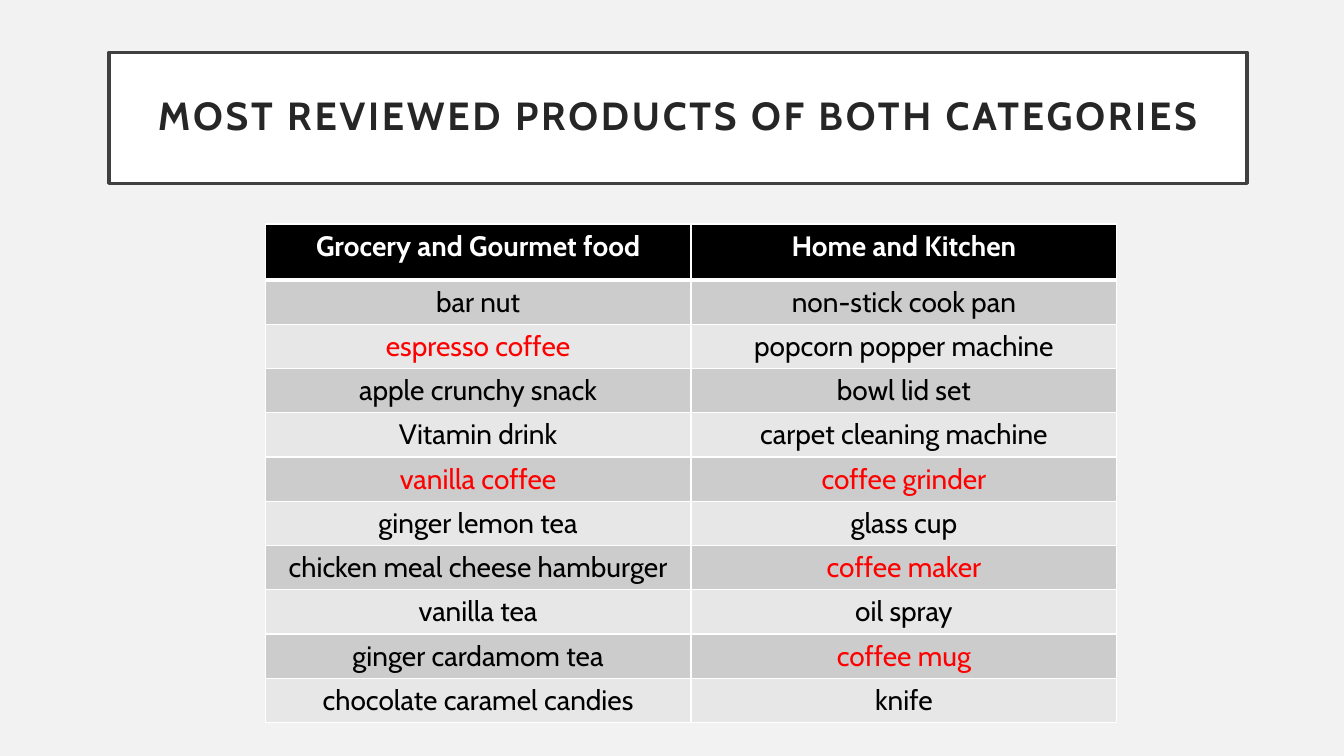
from dataclasses import dataclass

from lxml import etree
from pptx import Presentation
from pptx import util as u
from pptx.dml.color import RGBColor
from pptx.enum import shapes, text
from pptx.oxml import ns

FONT = "Cabin"
COLORS = {
    "background": "F2F2F2",
    "white": "FFFFFF",
    "frame": "404040",
    "title": "262626",
    "header": "000000",
    "body": "000000",
    "highlight": "FF0000",
    "odd": "CCCCCC",
    "even": "E7E7E7",
}
TITLE = "MOST REVIEWED PRODUCTS OF BOTH CATEGORIES"
HIGHLIGHT_WORD = "coffee"
HEADER_HEIGHT = 40
ROW_HEIGHT = 29.5
COLUMN_WIDTH = 304.2


@dataclass
class Category:
    name: str
    products: list[str]


@dataclass
class CellStyle:
    fill: str
    color: str
    bold: bool
    top: float
    bottom: float


CATEGORIES = [
    Category("Grocery and Gourmet food", [
        "bar nut", "espresso coffee", "apple crunchy snack", "Vitamin drink",
        "vanilla coffee", "ginger lemon tea", "chicken meal cheese hamburger",
        "vanilla tea", "ginger cardamom tea", "chocolate caramel candies",
    ]),
    Category("Home and Kitchen", [
        "non-stick cook pan", "popcorn popper machine", "bowl lid set",
        "carpet cleaning machine", "coffee grinder", "glass cup",
        "coffee maker", "oil spray", "coffee mug", "knife",
    ]),
]


def rgb(name: str) -> RGBColor:
    return RGBColor.from_string(COLORS[name])


def format_paragraph(paragraph, size: float, color: str, bold: bool) -> None:
    paragraph.alignment = text.PP_ALIGN.CENTER
    paragraph.font.name = FONT
    paragraph.font.size = u.Pt(size)
    paragraph.font.bold = bold
    paragraph.font.color.rgb = rgb(color)


def add_border(cell, side: str, width: float) -> None:
    properties = cell._tc.get_or_add_tcPr()
    line = etree.SubElement(properties, ns.qn(f"a:ln{side}"), w=str(u.Pt(width)))
    fill = etree.SubElement(line, ns.qn("a:solidFill"))
    etree.SubElement(fill, ns.qn("a:srgbClr"), val=COLORS["white"])


def cell_style(row: int, content: str) -> CellStyle:
    if row == 0:
        return CellStyle("header", "white", True, 1, 3)
    color = "highlight" if HIGHLIGHT_WORD in content else "body"
    return CellStyle("odd" if row % 2 else "even", color, False, 3 if row == 1 else 1, 1)


def fill_cell(cell, content: str, style: CellStyle) -> None:
    cell.text = content
    format_paragraph(cell.text_frame.paragraphs[0], 20, style.color, style.bold)
    for side, width in (("L", 1), ("R", 1), ("T", style.top), ("B", style.bottom)):
        add_border(cell, side, width)
    cell.fill.solid()
    cell.fill.fore_color.rgb = rgb(style.fill)


def add_products(slide) -> None:
    row_count = len(CATEGORIES[0].products) + 1
    width = COLUMN_WIDTH * len(CATEGORIES)
    height = HEADER_HEIGHT + ROW_HEIGHT * (row_count - 1)
    table = slide.shapes.add_table(
        row_count, len(CATEGORIES), u.Pt(189.4), u.Pt(160), u.Pt(width), u.Pt(height)
    ).table
    for index, row in enumerate(table.rows):
        row.height = u.Pt(ROW_HEIGHT if index else HEADER_HEIGHT)
    for column, category in enumerate(CATEGORIES):
        table.columns[column].width = u.Pt(COLUMN_WIDTH)
        for row, content in enumerate([category.name, *category.products]):
            fill_cell(table.cell(row, column), content, cell_style(row, content))


def format_title(shape) -> None:
    shape.left, shape.top = u.Pt(77.8), u.Pt(37.4)
    shape.width, shape.height = u.Pt(812.9), u.Pt(93.6)
    shape.fill.solid()
    shape.fill.fore_color.rgb = rgb("white")
    shape.line.color.rgb = rgb("frame")
    shape.line.width = u.Pt(2.5)
    frame = shape.text_frame
    frame.text = TITLE
    frame.word_wrap = True
    frame.auto_size = text.MSO_AUTO_SIZE.NONE
    frame.vertical_anchor = text.MSO_ANCHOR.MIDDLE
    frame.margin_left = frame.margin_right = u.Pt(14.4)
    frame.margin_top = frame.margin_bottom = u.Pt(14.4)
    paragraph = frame.paragraphs[0]
    paragraph.line_spacing = 0.9
    format_paragraph(paragraph, 28, "title", True)
    paragraph.runs[0].font._element.set("spc", "200")


def main() -> None:
    presentation = Presentation()
    presentation.slide_width, presentation.slide_height = u.Pt(960), u.Pt(540)
    slide = presentation.slides.add_slide(presentation.slide_layouts[5])
    slide.background.fill.solid()
    slide.background.fill.fore_color.rgb = rgb("background")
    format_title(slide.shapes.title)
    add_products(slide)
    presentation.save("out.pptx")


if __name__ == "__main__":
    main()
